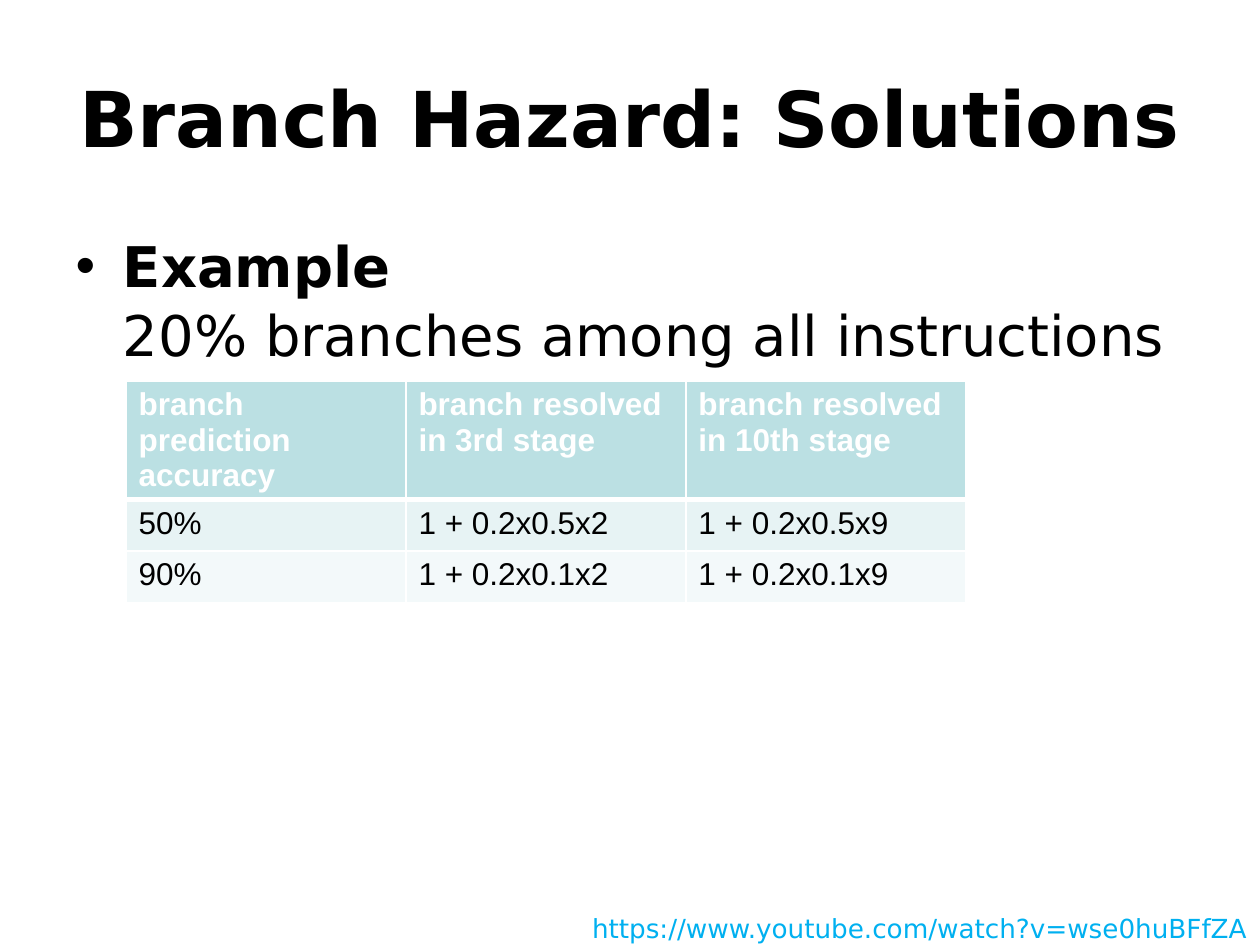
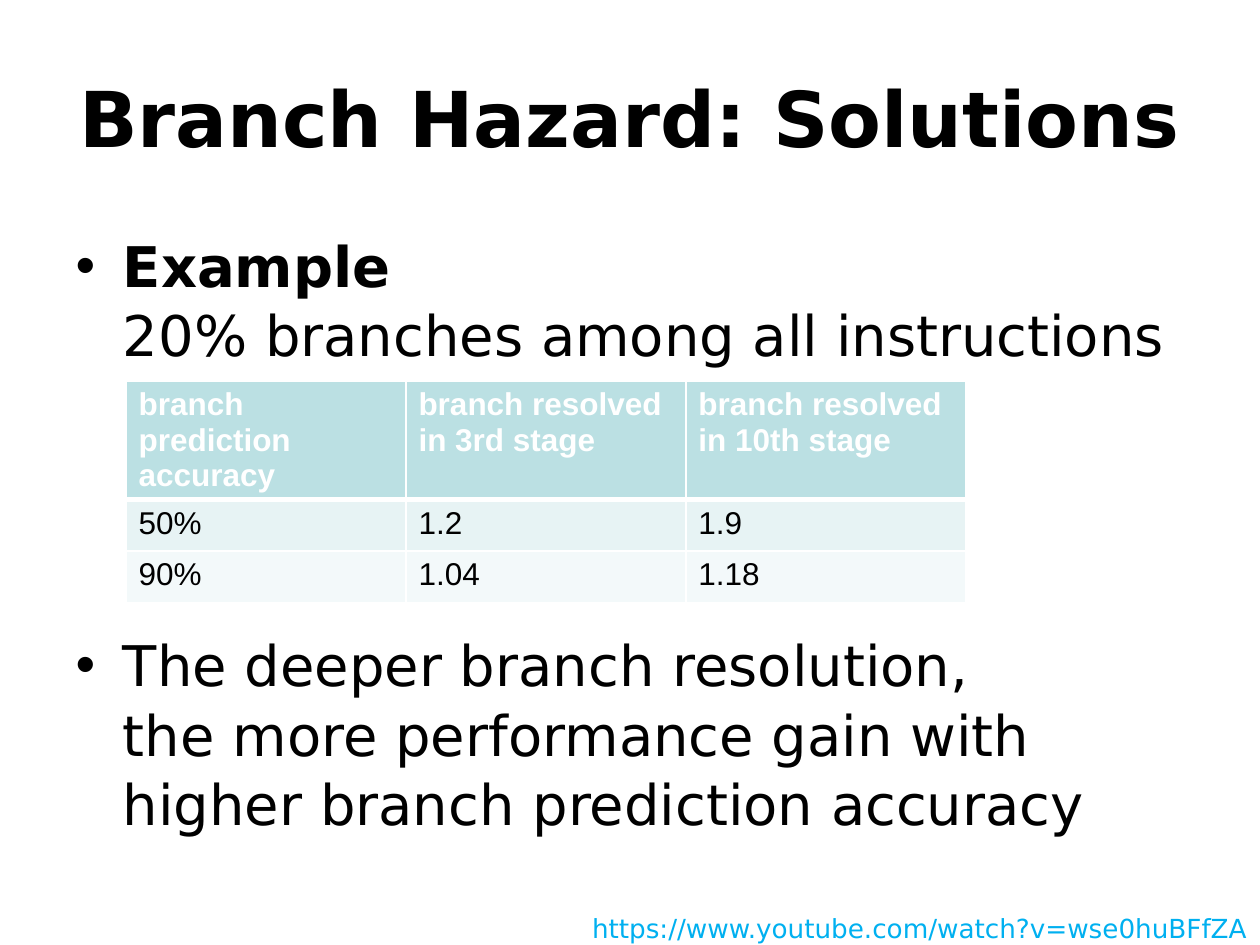
"""Build two slides on branch hazard solutions, each with a table of costs."""
from lxml import etree
from pptx import Presentation
from pptx.dml.color import RGBColor
from pptx.enum import text as t
from pptx.util import Cm, Pt

HUES = {"ink": "000000", "white": "FFFFFF", "link": "00B0F0",
        "head": "BBE0E3", "odd": "E7F3F4", "even": "F3F9FA"}
SANS = "DejaVu Sans"
NS = "http://schemas.openxmlformats.org/drawingml/2006/main"
HEAD = ["branch prediction accuracy", "branch resolved in 3rd stage",
        "branch resolved in 10th stage"]
LINK = "https://www.youtube.com/watch?v=wse0huBFfZA"
SLIDES = [
    ([["50%", "1 + 0.2x0.5x2", "1 + 0.2x0.5x9"],
      ["90%", "1 + 0.2x0.1x2", "1 + 0.2x0.1x9"]], None),
    ([["50%", "1.2", "1.9"],
      ["90%", "1.04", "1.18"]],
     ["The deeper branch resolution,",
      "the more performance gain with higher branch prediction accuracy"]),
]


def write(para, words, size=32, face=SANS, hue="ink", bold=False, align=None):
    run = para.add_run()
    run.text = words
    run.font.size = Pt(size)
    run.font.name = face
    run.font.bold = bold
    run.font.color.rgb = RGBColor.from_string(HUES[hue])
    if align is not None:
        para.alignment = align


def edge(cell, side, width):
    line = etree.SubElement(cell._tc.get_or_add_tcPr(), f"{{{NS}}}ln{side}", w=str(Pt(width)))
    fill = etree.SubElement(line, f"{{{NS}}}solidFill")
    etree.SubElement(fill, f"{{{NS}}}srgbClr", val=HUES["white"])


deck = Presentation()
deck.slide_width, deck.slide_height = Cm(25.4), Cm(19.05)

for costs, lesson in SLIDES:
    slide = deck.slides.add_slide(deck.slide_layouts[1])

    title = slide.shapes.title
    title.left, title.top, title.width, title.height = Cm(1.27), Cm(0.76), Cm(22.86), Cm(3.18)
    frame = title.text_frame
    frame.auto_size = t.MSO_AUTO_SIZE.NONE
    frame.vertical_anchor = t.MSO_ANCHOR.MIDDLE
    write(frame.paragraphs[0], "Branch Hazard: Solutions", size=44, bold=True,
          align=t.PP_ALIGN.CENTER)

    body = slide.placeholders[1]
    body.left, body.top, body.width, body.height = Cm(1.27), Cm(4.45), Cm(22.86), Cm(12.57)
    frame = body.text_frame
    frame.auto_size = t.MSO_AUTO_SIZE.NONE
    frame.margin_top = Cm(0.18)
    para = frame.paragraphs[0]
    para.space_before = Pt(0)
    para.line_spacing = 1.03
    write(para, "Example", bold=True)
    para.add_line_break()
    write(para, "20% branches among all instructions")
    if lesson:
        para = frame.add_paragraph()
        para.space_before = Pt(149)
        para.line_spacing = 1.03
        write(para, lesson[0])
        para.add_line_break()
        write(para, lesson[1])

    grid = slide.shapes.add_table(3, 3, Cm(2.54), Cm(7.68), Cm(16.93), Cm(4.42)).table
    for row, high in zip(grid.rows, (2.34, 1.04, 1.04)):
        row.height = Cm(high)
    for r, (words, tint) in enumerate(zip([HEAD] + costs, ("head", "odd", "even"))):
        for c, word in enumerate(words):
            cell = grid.cell(r, c)
            for side in "LRTB":
                edge(cell, side, 3 if (r, side) in ((0, "B"), (1, "T")) else 1)
            cell.fill.solid()
            cell.fill.fore_color.rgb = RGBColor.from_string(HUES[tint])
            write(cell.text_frame.paragraphs[0], word, size=18, face="Arial",
                  hue="ink" if r else "white", bold=not r)

    foot = slide.shapes.add_textbox(Cm(2.11), Cm(17.68), Cm(23.29), Cm(1.55)).text_frame
    foot.word_wrap = True
    foot.vertical_anchor = t.MSO_ANCHOR.BOTTOM
    foot.margin_bottom = Cm(0.2)
    write(foot.paragraphs[0], LINK, size=15, hue="link", align=t.PP_ALIGN.RIGHT)

deck.save("out.pptx")
